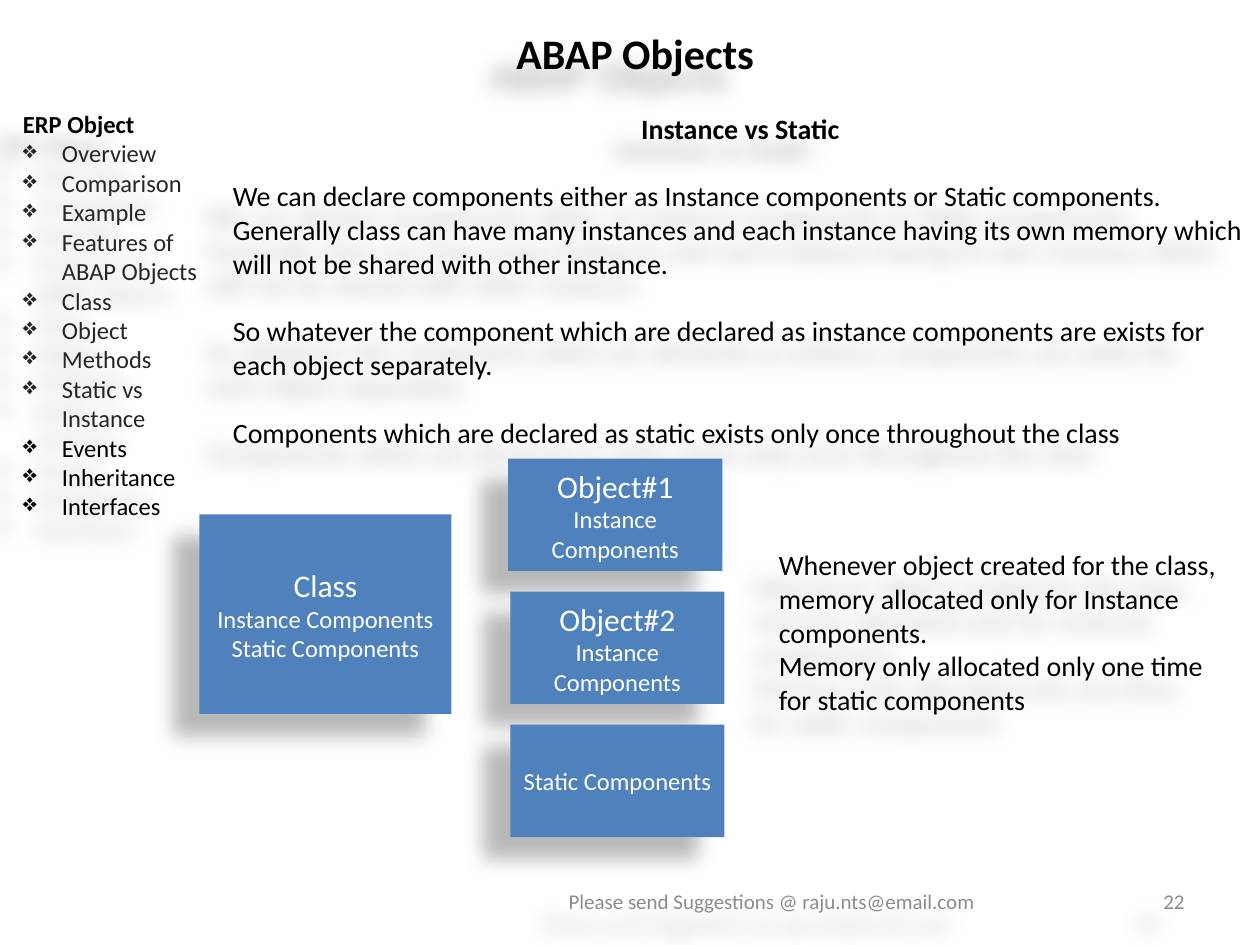
from lxml import etree
from pptx import Presentation
from pptx.dml.color import RGBColor
from pptx.enum.shapes import MSO_SHAPE
from pptx.enum.text import MSO_ANCHOR, PP_ALIGN
from pptx.oxml.ns import qn
from pptx.util import Inches, Pt

BLACK, CHARCOAL, GRAY, WHITE, BLUE = "000000", "262626", "8C8C8C", "FFFFFF", "4F81BD"
LEFT, CENTER, RIGHT = PP_ALIGN.LEFT, PP_ALIGN.CENTER, PP_ALIGN.RIGHT

prs = Presentation()
prs.slide_width, prs.slide_height = Inches(10), Inches(7.5)
slide = prs.slides.add_slide(prs.slide_layouts[6])
COLUMN, ROW = prs.slide_width / 120, prs.slide_height / 90


def add_block(cell, anchor=MSO_ANCHOR.TOP, fill=None):
    left, top, width, height = cell
    box = [int(n) for n in (left * COLUMN, top * ROW, width * COLUMN, height * ROW)]
    if fill:
        block = slide.shapes.add_shape(MSO_SHAPE.RECTANGLE, *box)
        block.fill.solid()
        block.fill.fore_color.rgb = RGBColor.from_string(fill)
        block.line.fill.background()
    else:
        block = slide.shapes.add_textbox(*box)
    block.shadow.inherit = False
    effects = block._element.spPr.find(qn("a:effectLst"))
    shadow = etree.SubElement(effects, qn("a:outerShdw"), blurRad="150000", dist="250000",
                              dir="8460000", algn="tl", rotWithShape="0")
    tint = etree.SubElement(shadow, qn("a:srgbClr"), val=BLACK)
    etree.SubElement(tint, qn("a:alpha"), val="28000")
    block.text_frame.word_wrap = True
    block.text_frame.vertical_anchor = anchor
    return block.text_frame


def add_line(frame, text, size, color, align=LEFT, bold=False, before=0):
    line = frame.add_paragraph() if frame.text else frame.paragraphs[0]
    line.alignment = align
    line.space_before = Pt(before)
    run = line.add_run()
    run.text = text
    run.font.name, run.font.size, run.font.bold = "Calibri", Pt(size), bold
    run.font.color.rgb = RGBColor.from_string(color)
    return line


add_line(add_block((86, 83.4, 28, 4.8), MSO_ANCHOR.MIDDLE), "22", 12, GRAY, RIGHT)
add_line(add_block((46, 2, 29, 6)), "ABAP Objects", 24, BLACK, CENTER, True)
add_line(add_block((41, 83.4, 65, 4.8), MSO_ANCHOR.MIDDLE),
         "Please send Suggestions @ raju.nts@email.com", 12, GRAY, CENTER)

GAP = 19.5
body = add_block((21, 10, 99, 33.5))
add_line(body, "Instance vs Static", 16, BLACK, CENTER, True)
for text, before in [
    ("We can declare components either as Instance components or Static components.", GAP),
    ("Generally class can have many instances and each instance having its own memory "
     "which will not be shared with other instance.", 0),
    ("So whatever the component which are declared as instance components are exists for "
     "each object separately.", GAP),
    ("Components which are declared as static exists only once throughout the class", GAP),
]:
    add_line(body, text, 16, BLACK, before=before)

OBJECT_TOP, OBJECT_STEP, OBJECT_SIZE = 43.68, 12.67, (20.4, 10.7)
boxes = [((19, 49, 24, 19), "Class", ["Instance Components", "Static Components"])]
for row, (left, heading, part) in enumerate([
    (48.4, "Object#1", "Instance Components"),
    (48.6, "Object#2", "Instance Components"),
    (48.6, None, "Static Components"),
]):
    boxes.append(((left, OBJECT_TOP + row * OBJECT_STEP, *OBJECT_SIZE), heading, [part]))
for cell, heading, parts in boxes:
    frame = add_block(cell, MSO_ANCHOR.MIDDLE, BLUE)
    if heading:
        add_line(frame, heading, 18, WHITE, CENTER)
    for part in parts:
        add_line(frame, part, 14, WHITE, CENTER)

memory = add_block((73, 51.6, 45, 17.4))
for text in [
    "Whenever object created for the class, memory allocated only for Instance components.",
    "Memory only allocated only one time for static components",
]:
    add_line(memory, text, 16, BLACK)

agenda = add_block((1, 9.8, 21, 47.3))
add_line(agenda, "ERP Object", 14, BLACK, bold=True)
covered = ["Overview", "Comparison", "Example", "Features of ABAP Objects", "Class",
           "Object", "Methods", "Static vs Instance"]
upcoming = ["Events", "Inheritance", "Interfaces"]
for topics, color in [(covered, CHARCOAL), (upcoming, BLACK)]:
    for topic in topics:
        properties = add_line(agenda, topic, 14, color)._p.get_or_add_pPr()
        indent = Inches(0.31)
        properties.set("marL", str(indent))
        properties.set("indent", str(-indent))
        etree.SubElement(properties, qn("a:buChar"), char="❖")

prs.save("out.pptx")
